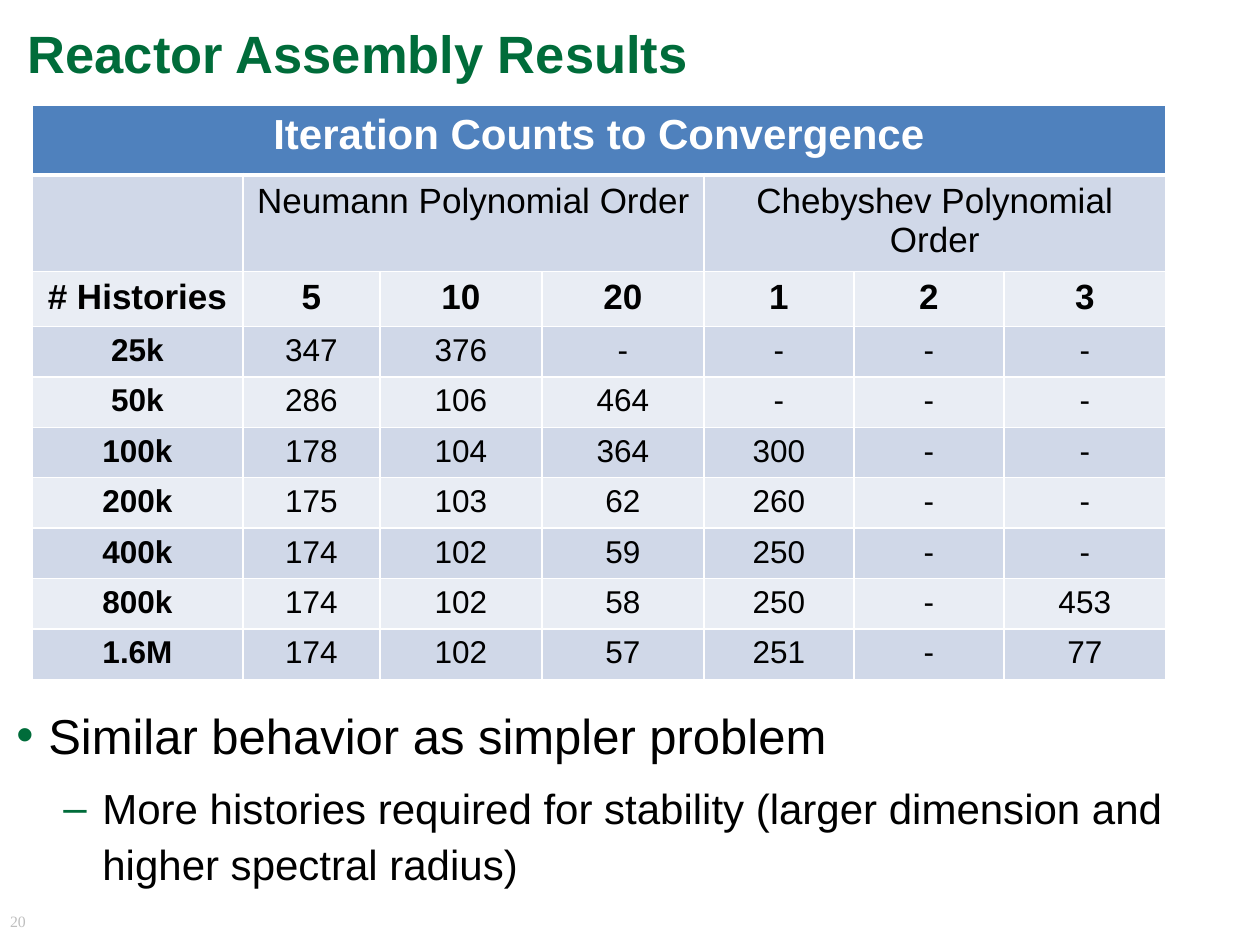
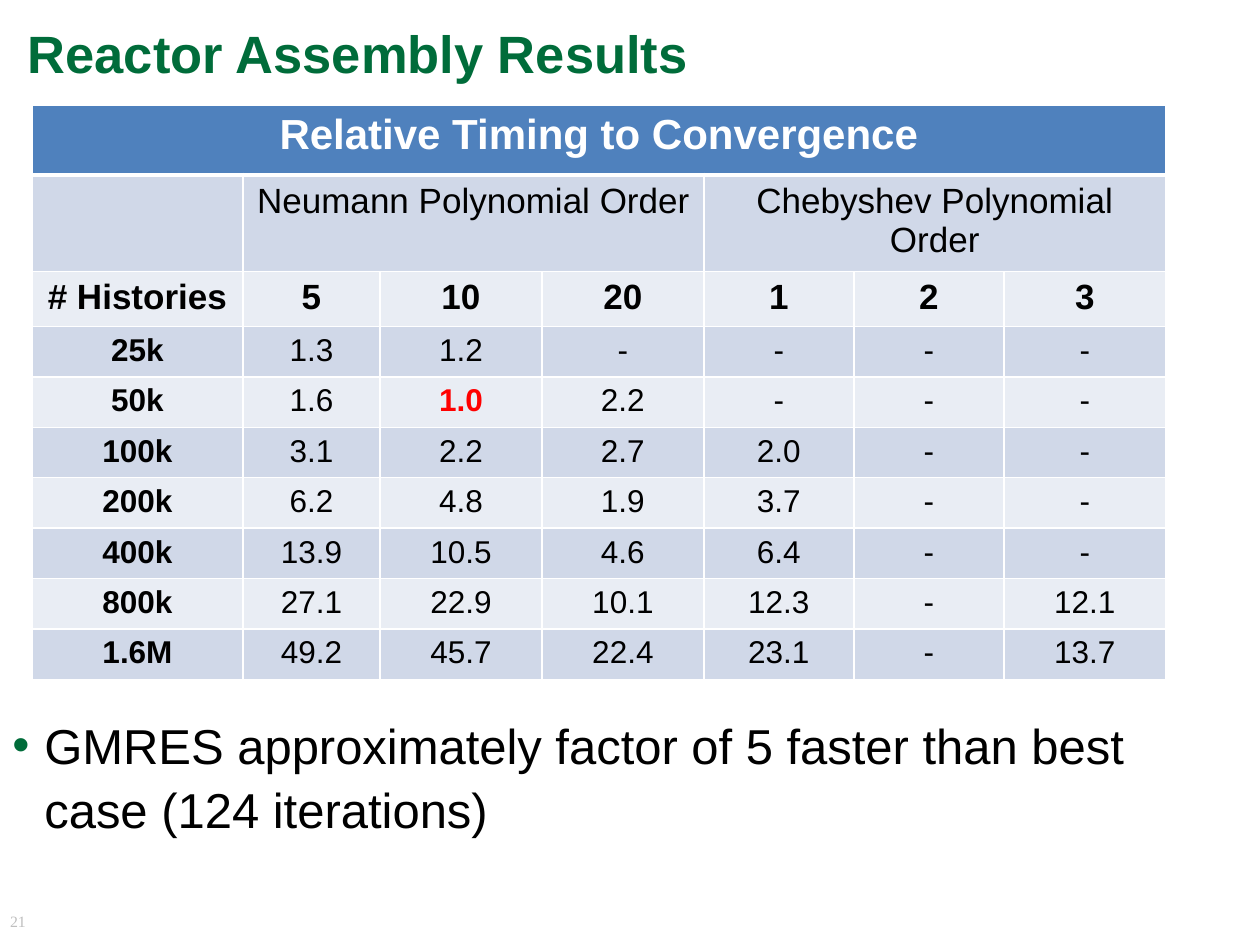
from dataclasses import dataclass

from pptx import Presentation
from pptx.dml.color import RGBColor
from pptx.enum.text import MSO_ANCHOR, MSO_AUTO_SIZE as AUTO_SIZE, PP_ALIGN as ALIGN
from pptx.oxml.ns import qn
from pptx.util import Pt
from lxml.etree import SubElement

SLIDE_W, SLIDE_H = 1260, 945
EMU_PER_PX = 914400 / 126
TITLE_ONLY = 5


@dataclass(frozen=True)
class Theme:
    font: str = "Arial"
    number_font: str = "Times New Roman"
    green: str = "006C3A"
    black: str = "000000"
    white: str = "FFFFFF"
    red: str = "FF0000"
    grey: str = "BFBFBF"
    header: str = "4F81BD"
    bands: tuple = ("D0D8E8", "E9EDF4")
    title_size: int = 30
    caption_size: int = 24
    heading_size: int = 20
    value_size: int = 18
    number_size: int = 9
    thin: int = 1
    thick: int = 3


THEME = Theme()


@dataclass(frozen=True)
class BulletLevel:
    mark: str
    size: int
    margin: int
    hang: int
    before: int


LEVELS = (BulletLevel("•", 28, 32, 32, 14), BulletLevel("–", 24, 86, 39, 8))

TITLE_BOX = (15, 24, 1223, 68)
NUMBER_BOX = (10, 914, 32, 32)
TABLE_BOX = (32, 105, 1134, 526)
COLUMN_WIDTHS = (211, 137, 162, 162, 150, 150, 162)
ROW_HEIGHTS = (70, 70, 52) + (48,) * 7

GROUPS = {1: "Neumann Polynomial Order", 4: "Chebyshev Polynomial Order"}
GROUP_SPAN = 3
HEADINGS = ("# Histories", "5", "10", "20", "1", "2", "3")
HISTORIES = ("25k", "50k", "100k", "200k", "400k", "800k", "1.6M")

ITERATIONS = (
    "347 376 - - - -",
    "286 106 464 - - -",
    "178 104 364 300 - -",
    "175 103 62 260 - -",
    "174 102 59 250 - -",
    "174 102 58 250 - 453",
    "174 102 57 251 - 77",
)
TIMINGS = (
    "1.3 1.2 - - - -",
    "1.6 1.0 2.2 - - -",
    "3.1 2.2 2.7 2.0 - -",
    "6.2 4.8 1.9 3.7 - -",
    "13.9 10.5 4.6 6.4 - -",
    "27.1 22.9 10.1 12.3 - 12.1",
    "49.2 45.7 22.4 23.1 - 13.7",
)


def px(length):
    return round(length * EMU_PER_PX)


def emu_box(box):
    return [px(length) for length in box]


def add_run(paragraph, text, size, color, bold=False, font=THEME.font):
    run = paragraph.add_run()
    run.text = text
    run.font.name = font
    run.font.size = Pt(size)
    run.font.bold = bold
    run.font.color.rgb = RGBColor.from_string(color)


def place_title(slide, box, text):
    title = slide.shapes.title
    title.left, title.top, title.width, title.height = emu_box(box)
    frame = title.text_frame
    frame.word_wrap = True
    frame.vertical_anchor = MSO_ANCHOR.TOP
    frame.auto_size = AUTO_SIZE.SHAPE_TO_FIT_TEXT
    line = frame.paragraphs[0]
    line.alignment = ALIGN.LEFT
    line.line_spacing = 0.85
    add_run(line, text, THEME.title_size, THEME.green, bold=True)


def place_page_number(slide, box, number):
    frame = slide.shapes.add_textbox(*emu_box(box)).text_frame
    frame.word_wrap = True
    frame.margin_left = frame.margin_right = frame.margin_top = frame.margin_bottom = 0
    line = frame.paragraphs[0]
    line.line_spacing = 0.9
    add_run(line, str(number), THEME.number_size, THEME.grey, font=THEME.number_font)


def set_bullet(paragraph, level):
    props = paragraph._p.get_or_add_pPr()
    props.set("marL", str(px(level.margin)))
    props.set("indent", str(-px(level.hang)))
    color = SubElement(props, qn("a:buClr"))
    SubElement(color, qn("a:srgbClr"), val=THEME.green)
    SubElement(props, qn("a:buFont"), typeface=THEME.font)
    SubElement(props, qn("a:buChar"), char=level.mark)


def place_findings(slide, box, findings):
    """Bulleted conclusions, one per nesting level, outermost first."""
    frame = slide.shapes.add_textbox(*emu_box(box)).text_frame
    frame.word_wrap = True
    frame.auto_size = AUTO_SIZE.SHAPE_TO_FIT_TEXT
    for depth, (finding, level) in enumerate(zip(findings, LEVELS)):
        line = frame.add_paragraph() if depth else frame.paragraphs[0]
        line.level = depth
        line.line_spacing = 1.1
        line.space_before = Pt(level.before)
        set_bullet(line, level)
        add_run(line, finding, level.size, THEME.black)


def style_cell(cell, row):
    """Borders and fill; the rule under the caption row is thicker."""
    props = cell._tc.get_or_add_tcPr()
    widths = {
        "a:lnL": THEME.thin,
        "a:lnR": THEME.thin,
        "a:lnT": THEME.thick if row == 1 else THEME.thin,
        "a:lnB": THEME.thick if row == 0 else THEME.thin,
    }
    for side, width in widths.items():
        border = SubElement(props, qn(side), w=str(Pt(width)))
        paint = SubElement(border, qn("a:solidFill"))
        SubElement(paint, qn("a:srgbClr"), val=THEME.white)
    cell.fill.solid()
    fill = THEME.bands[(row - 1) % 2] if row else THEME.header
    cell.fill.fore_color.rgb = RGBColor.from_string(fill)


def write_cell(cell, text, size, color=THEME.black, bold=False):
    line = cell.text_frame.paragraphs[0]
    line.alignment = ALIGN.CENTER
    add_run(line, text, size, color, bold)


def place_results(slide, box, caption, results, best):
    """Results by history count; best is the (histories, column) to highlight."""
    table = slide.shapes.add_table(
        len(ROW_HEIGHTS), len(COLUMN_WIDTHS), *emu_box(box)).table
    table.first_row = table.horz_banding = False
    for column, width in zip(table.columns, COLUMN_WIDTHS):
        column.width = px(width)
    for index, (row, height) in enumerate(zip(table.rows, ROW_HEIGHTS)):
        row.height = px(height)
        for cell in row.cells:
            style_cell(cell, index)

    table.cell(0, 0).merge(table.cell(0, len(COLUMN_WIDTHS) - 1))
    write_cell(table.cell(0, 0), caption, THEME.caption_size, THEME.white, bold=True)
    for start, group in GROUPS.items():
        table.cell(1, start).merge(table.cell(1, start + GROUP_SPAN - 1))
        write_cell(table.cell(1, start), group, THEME.heading_size)
    for column, heading in enumerate(HEADINGS):
        write_cell(table.cell(2, column), heading, THEME.heading_size, bold=True)

    for row, (histories, values) in enumerate(zip(HISTORIES, results), start=3):
        write_cell(table.cell(row, 0), histories, THEME.value_size, bold=True)
        for column, value in enumerate(values.split(), start=1):
            is_best = (histories, column) == best
            write_cell(table.cell(row, column), value, THEME.value_size,
                       THEME.red if is_best else THEME.black, bold=is_best)


def add_results_slide(deck, number, caption, results, findings, findings_box, best=None):
    slide = deck.slides.add_slide(deck.slide_layouts[TITLE_ONLY])
    place_page_number(slide, NUMBER_BOX, number)
    place_title(slide, TITLE_BOX, "Reactor Assembly Results")
    place_findings(slide, findings_box, findings)
    place_results(slide, TABLE_BOX, caption, results, best)


def main():
    deck = Presentation()
    deck.slide_width, deck.slide_height = px(SLIDE_W), px(SLIDE_H)
    add_results_slide(
        deck, 20, "Iteration Counts to Convergence", ITERATIONS,
        ("Similar behavior as simpler problem",
         "More histories required for stability (larger dimension and higher spectral radius)"),
        (4, 693, 1223, 203))
    add_results_slide(
        deck, 21, "Relative Timing to Convergence", TIMINGS,
        ("GMRES approximately factor of 5 faster than best case (124 iterations)",),
        (0, 703, 1223, 142), best=("50k", 2))
    deck.save("out.pptx")


if __name__ == "__main__":
    main()
